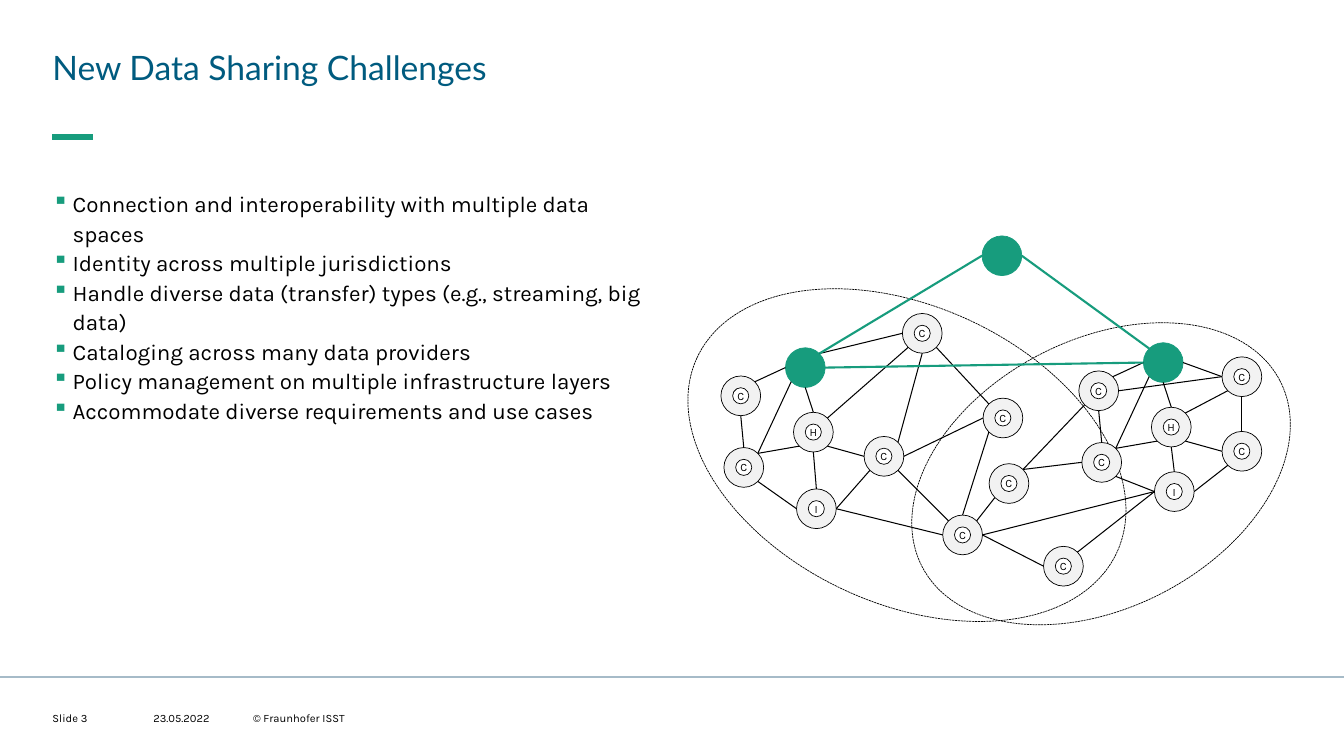
from math import cos, radians, sin

from lxml.etree import SubElement
from pptx import Presentation
from pptx.dml.color import RGBColor
from pptx.enum.dml import MSO_LINE
from pptx.enum.shapes import MSO_CONNECTOR, MSO_SHAPE
from pptx.enum.text import MSO_ANCHOR, PP_ALIGN
from pptx.oxml.ns import qn
from pptx.util import Inches, Pt

GREEN = RGBColor(0x17, 0x9C, 0x7D)
BLUE = RGBColor(0x00, 0x5B, 0x7F)
BLACK = RGBColor(0x00, 0x00, 0x00)
WHITE = RGBColor(0xFF, 0xFF, 0xFF)
LIGHT_GRAY = RGBColor(0xF2, 0xF2, 0xF2)
RULE_GRAY = RGBColor(0xA6, 0xBB, 0xC8)

NODE_SIZE = 0.394
CORE_SIZE = 0.16
COMPASS = ["E", "SE", "S", "SW", "W", "NW", "N", "NE"]

CHALLENGES = [
    "Connection and interoperability with multiple data spaces",
    "Identity across multiple jurisdictions",
    "Handle diverse data (transfer) types (e.g., streaming, big data)",
    "Cataloging across many data providers",
    "Policy management on multiple infrastructure layers",
    "Accommodate diverse requirements and use cases",
]
FOOTER = [
    ("Slide 3", 0.52, 0.79),
    ("23.05.2022", 1.52, 0.79),
    ("© Fraunhofer ISST", 2.51, 3.23),
]
DATA_SPACES = [
    (8.92, 3.37, 4, 2.66, 152.5),
    (6.7, 3.04, 4.59, 2.95, 24.9),
]
HUBS = {"top": (9.74, 2.34), "west": (7.79, 3.45), "east": (11.34, 3.4)}
MEMBERS = {
    "C1": (7.15, 3.73),
    "C2": (7.18, 4.44),
    "C3": (8.57, 4.33),
    "C4": (8.95, 3.11),
    "H1": (7.87, 4.09),
    "I1": (7.9, 4.85),
    "C5": (9.75, 3.95),
    "C6": (9.81, 4.6),
    "C7": (9.35, 5.11),
    "C8": (10.35, 5.42),
    "C9": (10.7, 3.68),
    "C10": (10.73, 4.39),
    "C11": (12.12, 3.54),
    "C12": (12.12, 4.28),
    "H2": (11.42, 4.04),
    "I2": (11.45, 4.68),
}
MEMBER_LINKS = [
    "C1 NE west W", "west S H1 N", "C4 W west NE", "C4 SW H1 NE",
    "H1 SE C3 W", "H1 SW C2 NE", "C1 S C2 N", "I1 W C2 SE",
    "C3 SW I1 E", "H1 S I1 N", "west SW C2 NE", "C4 S C3 NE",
    "C9 NE east W", "east S H2 N", "H2 NE C11 SW", "C11 S C12 N",
    "H2 SE C12 W", "H2 SW C10 NE", "C9 S C10 N", "I2 W C10 SE",
    "C12 SW I2 E", "H2 S I2 N", "east SW C10 NE", "east E C11 W",
    "C11 W C9 E", "C10 W C6 NE", "C9 SW C6 NE", "C6 SW C7 NE",
    "C5 W C3 E", "C5 NW C4 SE", "C5 SW C7 N", "C3 SE C7 NW",
    "I1 E C7 W", "I2 W C7 E", "C7 E C8 W", "C8 NE I2 W",
]
HUB_LINKS = ["top W west NE", "top E east NW", "west E east W"]


def style_font(para, size, color, name="Karla"):
    """Set the font of a whole paragraph."""
    para.font.name = name
    para.font.size = Pt(size)
    para.font.color.rgb = color


def clear_margins(frame):
    """Remove the inner margins of a text frame."""
    frame.margin_left = frame.margin_right = 0
    frame.margin_top = frame.margin_bottom = 0


def add_text_box(page, left, top, width, height):
    """Add a wrapping text box without margins and return its frame."""
    box = page.shapes.add_textbox(
        Inches(left), Inches(top), Inches(width), Inches(height))
    frame = box.text_frame
    frame.word_wrap = True
    clear_margins(frame)
    return frame


def add_title(page, text):
    """Add the slide title."""
    para = add_text_box(page, 0.52, 0.43, 12.28, 0.42).paragraphs[0]
    para.text = text
    para.line_spacing = 1.1
    style_font(para, 24, BLUE, "Lato")


def add_bullet(para):
    """Give a paragraph a green square bullet with a hanging indent."""
    props = para._p.get_or_add_pPr()
    props.set("marL", str(Inches(0.2)))
    props.set("indent", str(-Inches(0.2)))
    color = SubElement(props, qn("a:buClr"))
    SubElement(color, qn("a:srgbClr"), val=str(GREEN))
    SubElement(props, qn("a:buChar"), char="▪")


def add_challenges(page):
    """Add the bulleted list of challenges."""
    frame = add_text_box(page, 0.52, 1.86, 6.05, 2.35)
    for index, challenge in enumerate(CHALLENGES):
        para = frame.add_paragraph() if index else frame.paragraphs[0]
        para.text = challenge
        add_bullet(para)
        para.line_spacing = 1.1
        style_font(para, 16, BLACK)


def add_footer(page):
    """Add the slide number, date and copyright line."""
    for text, left, width in FOOTER:
        frame = add_text_box(page, left, 7.06, width, 0.13)
        frame.vertical_anchor = MSO_ANCHOR.MIDDLE
        frame.paragraphs[0].text = text
        style_font(frame.paragraphs[0], 8, BLACK)


def add_line(page, start, end, color, weight):
    """Add a straight line between two points."""
    line = page.shapes.add_connector(
        MSO_CONNECTOR.STRAIGHT, *map(Inches, (*start, *end)))
    line.line.color.rgb = color
    line.line.width = Pt(weight)
    SubElement(line._element.spPr, qn("a:effectLst"))


def add_ellipse(page, left, top, width, height, fill=None, outline=BLACK):
    """Add a thinly outlined ellipse, unfilled unless a fill is given."""
    shape = page.shapes.add_shape(
        MSO_SHAPE.OVAL, Inches(left), Inches(top), Inches(width), Inches(height))
    shape.shadow.inherit = False
    if fill is None:
        shape.fill.background()
    else:
        shape.fill.solid()
        shape.fill.fore_color.rgb = fill
    shape.line.color.rgb = outline
    shape.line.width = Pt(0.5)
    return shape


def add_data_space(page, left, top, width, height, angle):
    """Add a rotated dashed ellipse around one data space."""
    shape = add_ellipse(page, left, top, width, height)
    shape.rotation = angle
    shape.line.dash_style = MSO_LINE.SQUARE_DOT


def add_member(page, left, top, letter):
    """Add a gray node with a lettered core."""
    add_ellipse(page, left, top, NODE_SIZE, NODE_SIZE, LIGHT_GRAY)
    inset = (NODE_SIZE - CORE_SIZE) / 2
    core = add_ellipse(
        page, left + inset, top + inset, CORE_SIZE, CORE_SIZE, WHITE)
    frame = core.text_frame
    clear_margins(frame)
    frame.word_wrap = False
    frame.vertical_anchor = MSO_ANCHOR.MIDDLE
    para = frame.paragraphs[0]
    para.text = letter
    para.alignment = PP_ALIGN.CENTER
    style_font(para, 8, BLACK)


def rim_point(node, side):
    """Return the point on a node's rim in a compass direction."""
    left, top = (HUBS | MEMBERS)[node]
    angle = radians(45 * COMPASS.index(side))
    radius = NODE_SIZE / 2
    return left + radius * (1 + cos(angle)), top + radius * (1 + sin(angle))


def add_links(page, links, color, weight):
    """Add lines between the rims of nodes."""
    for link in links:
        start, start_side, end, end_side = link.split()
        add_line(page, rim_point(start, start_side),
                 rim_point(end, end_side), color, weight)


def add_network(page):
    """Add the data spaces with their nodes and links."""
    for space in DATA_SPACES:
        add_data_space(page, *space)
    for left, top in HUBS.values():
        add_ellipse(page, left, top, NODE_SIZE, NODE_SIZE, GREEN, GREEN)
    for name, (left, top) in MEMBERS.items():
        add_member(page, left, top, name[0])
    add_links(page, MEMBER_LINKS, BLACK, 0.75)
    add_links(page, HUB_LINKS, GREEN, 1.5)


def main():
    """Build and save the slide."""
    deck = Presentation()
    deck.slide_width, deck.slide_height = Inches(13.33), Inches(7.5)
    page = deck.slides.add_slide(deck.slide_layouts[6])
    add_line(page, (0.52, 1.36), (0.92, 1.36), GREEN, 4)
    add_line(page, (0, 6.72), (13.33, 6.72), RULE_GRAY, 1.5)
    add_title(page, "New Data Sharing Challenges")
    add_challenges(page)
    add_footer(page)
    add_network(page)
    deck.save("out.pptx")


if __name__ == "__main__":
    main()
